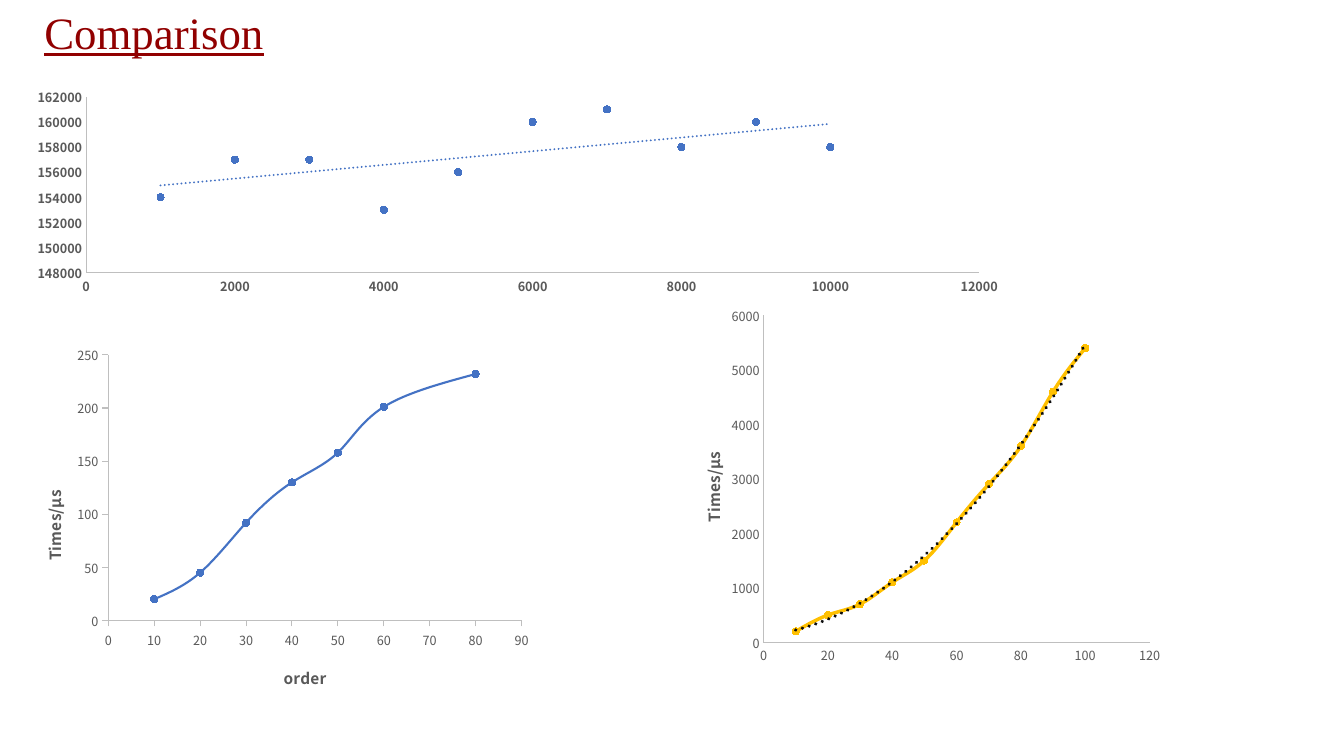
from dataclasses import dataclass
from typing import Optional

from lxml.etree import _Element as Node
from pptx import Presentation
from pptx.chart.data import XyChartData
from pptx.dml.color import RGBColor
from pptx.enum.chart import XL_CHART_TYPE as Kind
from pptx.enum.chart import XL_MARKER_STYLE as Mark
from pptx.enum.chart import XL_TICK_MARK as Tick
from pptx.oxml import parse_xml
from pptx.oxml.ns import nsdecls, qn
from pptx.slide import Slide
from pptx.text.text import TextFrame as Frame
from pptx.util import Inches, Pt

WIDE, HIGH = Inches(13.33), Inches(7.5)
SANS, SERIF = "Noto Sans CJK SC", "Times New Roman"
HUES = {
    "title": "910000", "label": "595959", "axis": "BFBFBF", "text": "000000",
    "blue": "4472C4", "gold": "FFC000", "green": "385723", "ink": "0D0D0D",
}


@dataclass(frozen=True)
class Axis:
    low: float
    high: float
    step: float
    title: str = ""
    spot: tuple[float, float] = (0, 0)  # title corner, percent of chart


@dataclass(frozen=True)
class Trend:
    hue: str
    width: float
    power: int = 1


@dataclass(frozen=True)
class Graph:
    """box is in percent of the slide, plot in percent of the chart."""
    box: tuple[float, float, float, float]
    plot: tuple[float, float, float, float]
    xs: list[int]
    ys: list[int]
    across: Axis
    up: Axis
    hue: str = "blue"
    dot: str = "blue"
    line: float = 0
    bold: bool = False
    tick: Tick = Tick.NONE
    trend: Optional[Trend] = None


GRAPHS = [
    Graph((1.35, 11.07, 74.42, 28.4), (6.8, 6.2, 89.3, 81.8),
          list(range(1000, 10001, 1000)),
          [154000, 157000, 157000, 153000, 156000,
           160000, 161000, 158000, 160000, 158000],
          Axis(0, 12000, 2000), Axis(148000, 162000, 2000),
          bold=True, trend=Trend("blue", 1.5)),
    Graph((1.35, 44.93, 38.78, 48.13), (17.3, 4.2, 79.3, 73),
          [10, 20, 30, 40, 50, 60, 80],
          [20, 45, 92, 130, 158, 201, 232],
          Axis(0, 90, 10, "order", (50.4, 88.5)),
          Axis(0, 250, 50, "Times/μs", (4, 40.5)),
          line=1.5, tick=Tick.OUTSIDE),
    Graph((50.04, 39.6, 36.98, 49.33), (18.3, 4.3, 77.7, 87.7),
          list(range(10, 101, 10)),
          [200, 500, 700, 1100, 1500, 2200, 2900, 3600, 4600, 5400],
          Axis(0, 120, 20),
          Axis(0, 6000, 1000, "Times/μs", (5.2, 40)),
          hue="gold", dot="green", line=2.5, trend=Trend("ink", 2.5, 2)),
]


def color(name: str) -> RGBColor:
    return RGBColor.from_string(HUES[name])


def style(font, *, size: float, hue: str, face: str = SANS,
          bold: bool = False, under: bool = False) -> None:
    font.size, font.name = Pt(size), face
    font.bold, font.underline = bold, under
    font.color.rgb = color(hue)


def write(frame: Frame, text: str, **form) -> None:
    run = frame.paragraphs[0].add_run()
    run.text = text
    style(run.font, **form)


def place(host: Node, *spot: float, inner: bool = False) -> None:
    """Fix a chart part at x, y (and width, height), in percent."""
    parts = '<c:layoutTarget val="inner"/>' if inner else ""
    parts += '<c:xMode val="edge"/><c:yMode val="edge"/>'
    for key, share in zip("xywh", spot):
        parts += f'<c:{key} val="{share / 100:.3f}"/>'
    old = host.find(qn("c:layout"))
    new = parse_xml(f'<c:layout {nsdecls("c")}><c:manualLayout>{parts}'
                    '</c:manualLayout></c:layout>')
    if old is None:
        host.insert(0, new)
    else:
        host.replace(old, new)


def fit(axis, plan: Axis, graph: Graph, turn: int) -> None:
    """Format one axis and its title, turned by whole degrees."""
    axis.minimum_scale, axis.maximum_scale = plan.low, plan.high
    axis.major_unit = plan.step
    axis.has_major_gridlines = axis.has_minor_gridlines = False
    axis.major_tick_mark, axis.minor_tick_mark = graph.tick, Tick.NONE
    axis.format.line.color.rgb = color("axis")
    axis.format.line.width = Pt(0.75)
    labels = axis.tick_labels
    labels.number_format, labels.number_format_is_linked = "General", False
    style(labels.font, size=9, hue="label", bold=graph.bold)
    axis.has_title = bool(plan.title)
    if plan.title:
        title = axis.axis_title
        write(title.text_frame, plan.title, size=11, hue="label", bold=True)
        body = title.element.find(".//" + qn("a:bodyPr"))
        body.set("rot", str(turn * 60000))
        body.set("vert", "horz")
        place(title.element, *plan.spot)


def add_trend(series: Node, trend: Trend) -> None:
    kind = "linear" if trend.power == 1 else "poly"
    power = f'<c:order val="{trend.power}"/>' if kind == "poly" else ""
    series.find(qn("c:xVal")).addprevious(parse_xml(
        f'<c:trendline {nsdecls("c", "a")}><c:spPr>'
        f'<a:ln w="{Pt(trend.width)}" cap="rnd"><a:solidFill>'
        f'<a:srgbClr val="{HUES[trend.hue]}"/></a:solidFill>'
        '<a:prstDash val="sysDot"/></a:ln></c:spPr>'
        f'<c:trendlineType val="{kind}"/>{power}'
        '<c:dispRSqr val="0"/><c:dispEq val="0"/></c:trendline>'))


def draw(slide: Slide, graph: Graph) -> None:
    data = XyChartData()
    points = data.add_series("Series 1")
    for x, y in zip(graph.xs, graph.ys):
        points.add_data_point(x, y)
    sides = (WIDE, HIGH, WIDE, HIGH)
    box = [int(side * share / 100) for side, share in zip(sides, graph.box)]
    kind = Kind.XY_SCATTER_SMOOTH if graph.line else Kind.XY_SCATTER
    chart = slide.shapes.add_chart(kind, *box, data).chart
    chart.has_title = chart.has_legend = False
    style(chart.font, size=10, hue="text")
    plot = chart.plots[0]
    plot.vary_by_categories = False
    fit(chart.category_axis, graph.across, graph, 0)
    fit(chart.value_axis, graph.up, graph, -90)
    place(chart.element.find(".//" + qn("c:plotArea")),
          *graph.plot, inner=True)

    series = plot.series[0]
    line = series.format.line
    if graph.line:
        line.color.rgb, line.width = color(graph.hue), Pt(graph.line)
    else:
        line.fill.background()
    mark = series.marker
    mark.style, mark.size = Mark.CIRCLE, 5
    mark.format.fill.solid()
    mark.format.fill.fore_color.rgb = color(graph.dot)
    mark.format.line.color.rgb = color(graph.hue)
    node = next(chart.element.iter(qn("c:ser")))
    node.find(qn("c:smooth")).set("val", str(int(graph.line > 0)))
    if graph.trend:
        add_trend(node, graph.trend)


def main() -> None:
    deck = Presentation()
    deck.slide_width, deck.slide_height = WIDE, HIGH
    slide = deck.slides.add_slide(deck.slide_layouts[6])
    head = slide.shapes.add_textbox(0, 0, WIDE, Inches(0.64)).text_frame
    head.word_wrap = True
    head.margin_left = Inches(0.44)
    write(head, "Comparison", size=32, hue="title", face=SERIF, under=True)
    for graph in GRAPHS:
        draw(slide, graph)
    deck.save("out.pptx")


if __name__ == "__main__":
    main()
